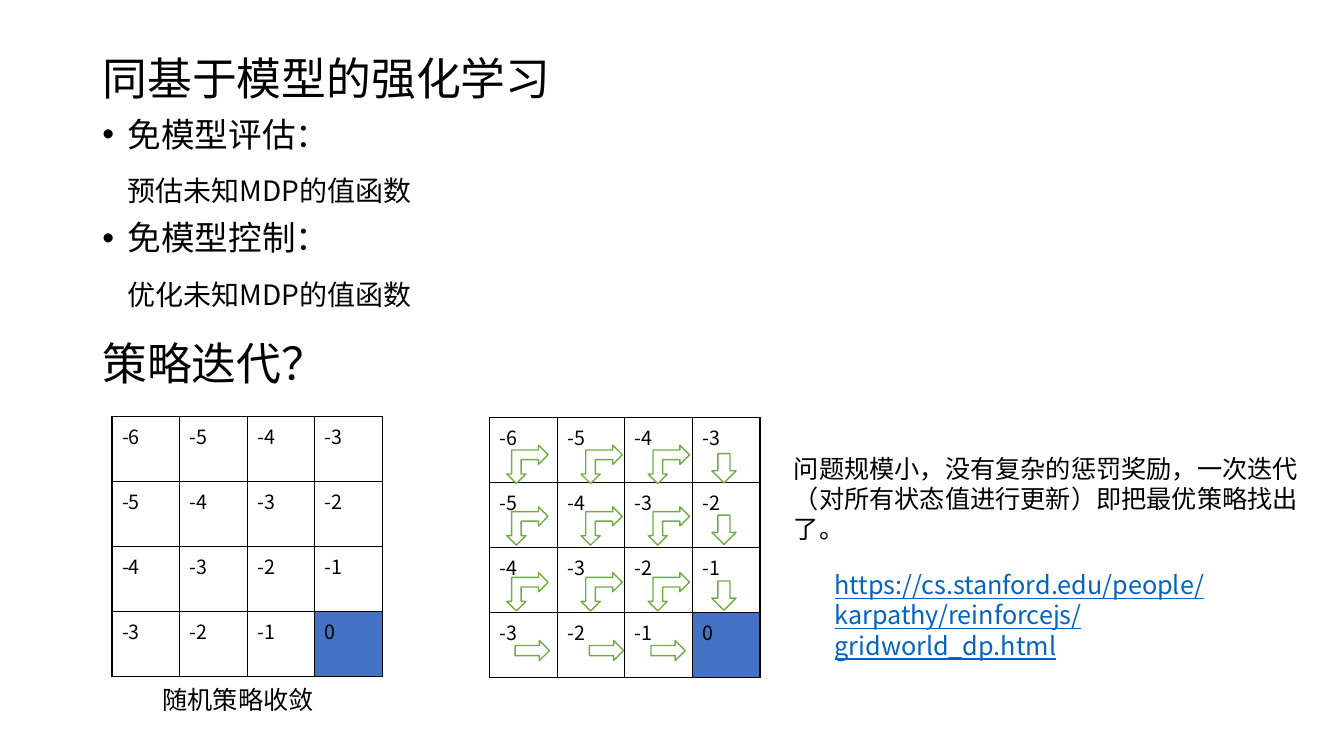
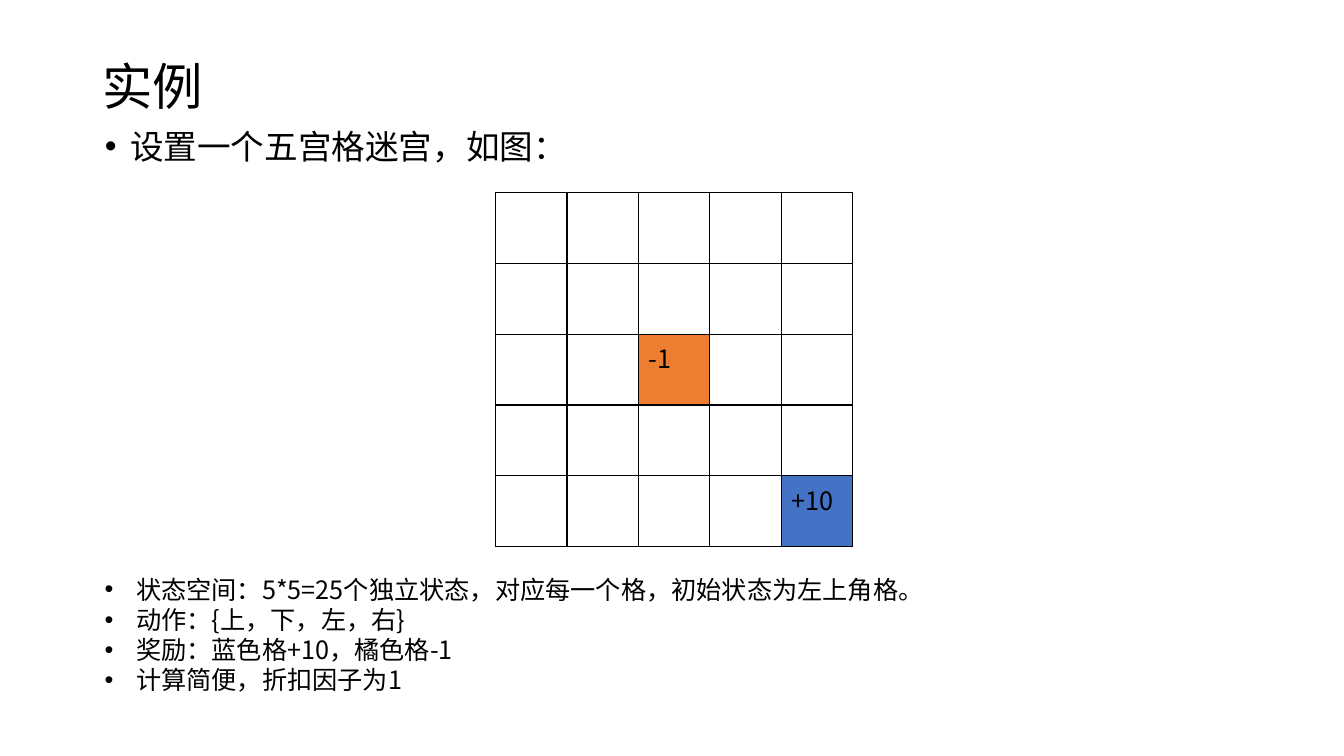
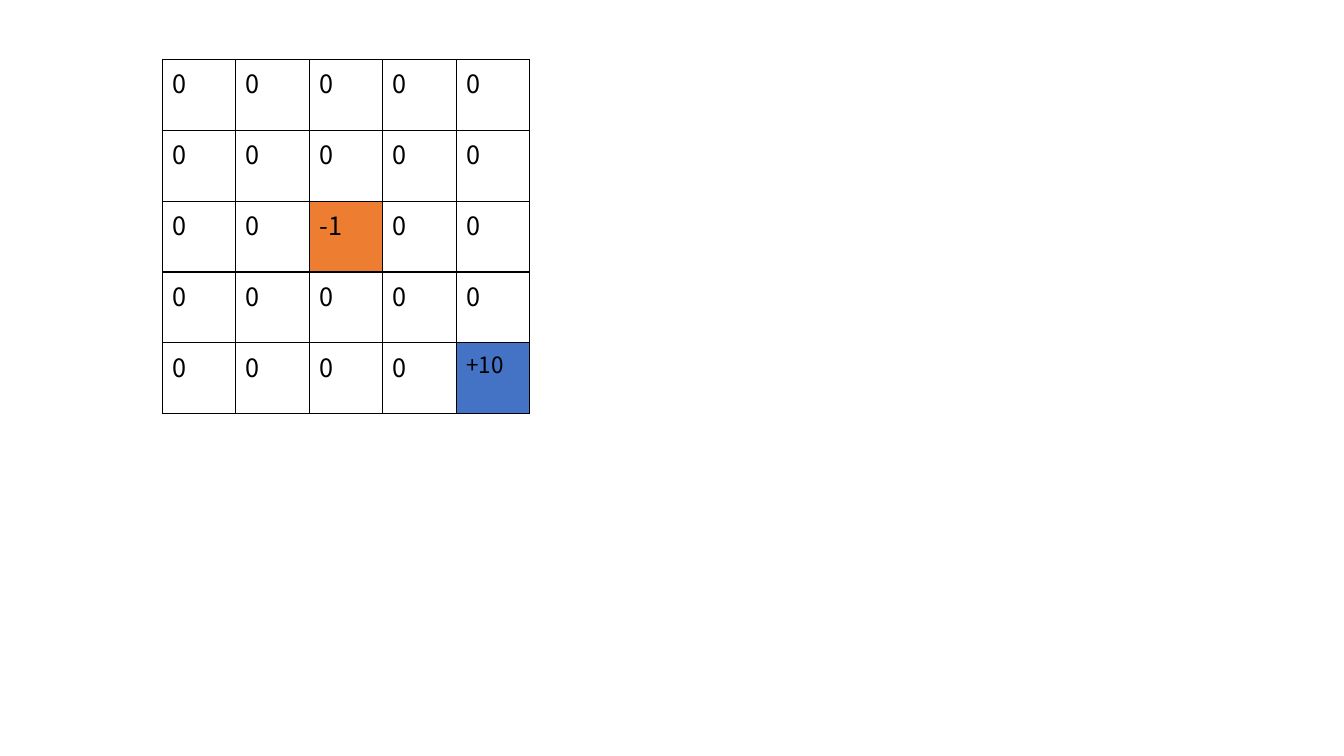
from pptx import Presentation
from pptx.dml.color import RGBColor
from pptx.enum.shapes import MSO_SHAPE as Preset
from pptx.enum.text import MSO_ANCHOR as Anchor, MSO_AUTO_SIZE as AutoSize, PP_ALIGN as Align
from pptx.oxml.ns import qn
from pptx.util import Pt
from lxml.etree import SubElement

BLACK = RGBColor(0x00, 0x00, 0x00)
WHITE = RGBColor(0xFF, 0xFF, 0xFF)
BLUE = RGBColor(0x44, 0x72, 0xC4)
ORANGE = RGBColor(0xED, 0x7D, 0x31)
GREEN = RGBColor(0x70, 0xAD, 0x47)
LINK = RGBColor(0x05, 0x63, 0xC1)
FONT = "Noto Sans CJK SC"
TITLE_AND_BODY, BLANK = 1, 6


class Deck:
    """Holds the shared style and the slide being built."""

    def __init__(self):
        self.presentation = Presentation()
        self.presentation.slide_width = Pt(960)
        self.presentation.slide_height = Pt(540)
        self.slide = None

    def new_slide(self, layout):
        self.slide = self.presentation.slides.add_slide(self.presentation.slide_layouts[layout])

    def add_run(self, paragraph, text, size, color=BLACK, font=FONT, underline=None):
        run = paragraph.add_run()
        run.text = text
        run.font.size = Pt(size)
        run.font.color.rgb = color
        run.font.underline = underline
        run.font.name = font
        SubElement(run.font._element, qn("a:ea")).set("typeface", FONT)

    def add_lines(self, frame, lines):
        for index, line in enumerate(lines):
            paragraph = frame.paragraphs[0] if index == 0 else frame.add_paragraph()
            self.add_line(paragraph, space=line.pop("space", 0) if index else 0, **line)

    def add_line(self, paragraph, text, size, bullet=0, indent=0, space=0, **style):
        properties = paragraph._p.get_or_add_pPr()
        properties.set("marL", str(Pt(bullet or indent)))
        properties.set("indent", str(-Pt(bullet)))
        if bullet:
            SubElement(properties, qn("a:buFont")).set("typeface", "Arial")
            SubElement(properties, qn("a:buChar")).set("char", "•")
        else:
            SubElement(properties, qn("a:buNone"))
        paragraph.alignment = Align.LEFT
        paragraph.line_spacing = Pt(round(size * 1.2, 1))
        paragraph.space_before = Pt(space)
        self.add_run(paragraph, text, size, **style)

    def fill_placeholder(self, shape, box, lines, anchor):
        shape.left, shape.top, shape.width, shape.height = map(Pt, box)
        frame = shape.text_frame
        frame.auto_size = AutoSize.NONE
        frame.vertical_anchor = anchor
        self.add_lines(frame, lines)

    def title(self, text, box):
        self.fill_placeholder(self.slide.shapes.title, box, [dict(text=text, size=36)], Anchor.MIDDLE)

    def body(self, box, lines):
        self.fill_placeholder(self.slide.placeholders[1], box, lines, Anchor.TOP)

    def remove_title(self):
        element = self.slide.shapes.title._element
        element.getparent().remove(element)

    def text_box(self, box, *lines):
        frame = self.slide.shapes.add_textbox(*map(Pt, box)).text_frame
        frame.word_wrap = True
        frame.auto_size = AutoSize.SHAPE_TO_FIT_TEXT
        self.add_lines(frame, lines)

    def grid(self, box, values, size, fills, sizes=None):
        rows, columns = len(values), len(values[0])
        width, height = box[2:]
        table = self.slide.shapes.add_table(rows, columns, *map(Pt, box)).table
        table.first_row = table.horz_banding = False
        for column in table.columns:
            column.width = Pt(width / columns)
        for row in table.rows:
            row.height = Pt(height / rows)
        for r, row_values in enumerate(values):
            for c, value in enumerate(row_values):
                cell = table.cell(r, c)
                self.border(cell)
                cell.fill.solid()
                cell.fill.fore_color.rgb = fills.get((r, c), WHITE)
                if value:
                    cell_size = (sizes or {}).get((r, c), size)
                    self.add_run(cell.text_frame.paragraphs[0], value, cell_size)

    def border(self, cell):
        properties = cell._tc.get_or_add_tcPr()
        for side in ("a:lnL", "a:lnR", "a:lnT", "a:lnB"):
            line = SubElement(properties, qn(side))
            line.set("w", str(Pt(1)))
            fill = SubElement(line, qn("a:solidFill"))
            SubElement(fill, qn("a:srgbClr")).set("val", str(BLACK))

    def arrow(self, preset, left, top, size, rotation=0):
        shape = self.slide.shapes.add_shape(preset, Pt(left), Pt(top), *map(Pt, size))
        shape.rotation = rotation
        shape.shadow.inherit = False
        shape.fill.solid()
        shape.fill.fore_color.rgb = WHITE
        shape.line.color.rgb = GREEN
        shape.line.width = Pt(1)


def policy_slide(deck):
    deck.new_slide(TITLE_AND_BODY)
    deck.remove_title()
    bullet = dict(size=24, bullet=18, space=7)
    detail = dict(size=20, indent=18, space=14)
    deck.body((66, 32.4, 828, 203), [
        dict(text="同基于模型的强化学习", size=32, font="Arial"),
        dict(text="免模型评估：", **bullet),
        dict(text="预估未知MDP的值函数", **detail),
        dict(text="免模型控制：", **bullet),
        dict(text="优化未知MDP的值函数", **detail),
    ])
    deck.text_box((66, 236, 803, 46), dict(text="策略迭代？", size=32))
    steps_to_goal = [[str(r + c - 6) for c in range(4)] for r in range(4)]
    for left, top in ((80, 297.4), (349.7, 298.2)):
        deck.grid((left, top, 193.2, 186), steps_to_goal, 14, {(3, 3): BLUE})
    deck.text_box((109, 485, 135, 29), dict(text="随机策略收敛", size=18))
    deck.text_box((589, 403.2, 323, 51), dict(
        text="https://cs.stanford.edu/people/karpathy/reinforcejs/gridworld_dp.html",
        size=18, color=LINK, underline=True))
    for top in (318, 362, 409):
        for left in (362, 415, 463):
            deck.arrow(Preset.LEFT_UP_ARROW, left, top, (29.5, 27.4), rotation=180)
        deck.arrow(Preset.DOWN_ARROW, 508.5, top + 6, (17.3, 20.9))
    for left in (368, 421, 465):
        deck.arrow(Preset.RIGHT_ARROW, left, 457.5, (24.5, 14.4))
    deck.text_box((560, 320, 381, 73), dict(
        text="问题规模小，没有复杂的惩罚奖励，一次迭代（对所有状态值进行更新）即把最优策略找出了。",
        size=18))


def maze_values(default):
    values = [[default] * 5 for _ in range(5)]
    values[2][2], values[4][4] = "-1", "+10"
    return values


MAZE_FILLS = {(2, 2): ORANGE, (4, 4): BLUE}


def example_slide(deck):
    deck.new_slide(TITLE_AND_BODY)
    deck.title("实例", (66, 35.3, 828, 51))
    deck.body((67.7, 86.4, 828, 38), [dict(text="设置一个五宫格迷宫，如图：", size=24, bullet=18)])
    facts = (
        "状态空间：5*5=25个独立状态，对应每一个格，初始状态为左上角格。",
        "动作：{上，下，左，右}",
        "奖励：蓝色格+10，橘色格-1",
        "计算简便，折扣因子为1",
    )
    deck.text_box((67.7, 406.5, 825, 94), *[dict(text=fact, size=18, bullet=22.5) for fact in facts])
    deck.grid((354, 137.5, 255, 253), maze_values(""), 18, MAZE_FILLS)


def initial_values_slide(deck):
    deck.new_slide(BLANK)
    deck.grid((116, 42.5, 262.5, 253), maze_values("0"), 18, MAZE_FILLS, sizes={(4, 4): 16})


def main():
    deck = Deck()
    policy_slide(deck)
    example_slide(deck)
    initial_values_slide(deck)
    deck.presentation.save("out.pptx")


if __name__ == "__main__":
    main()
